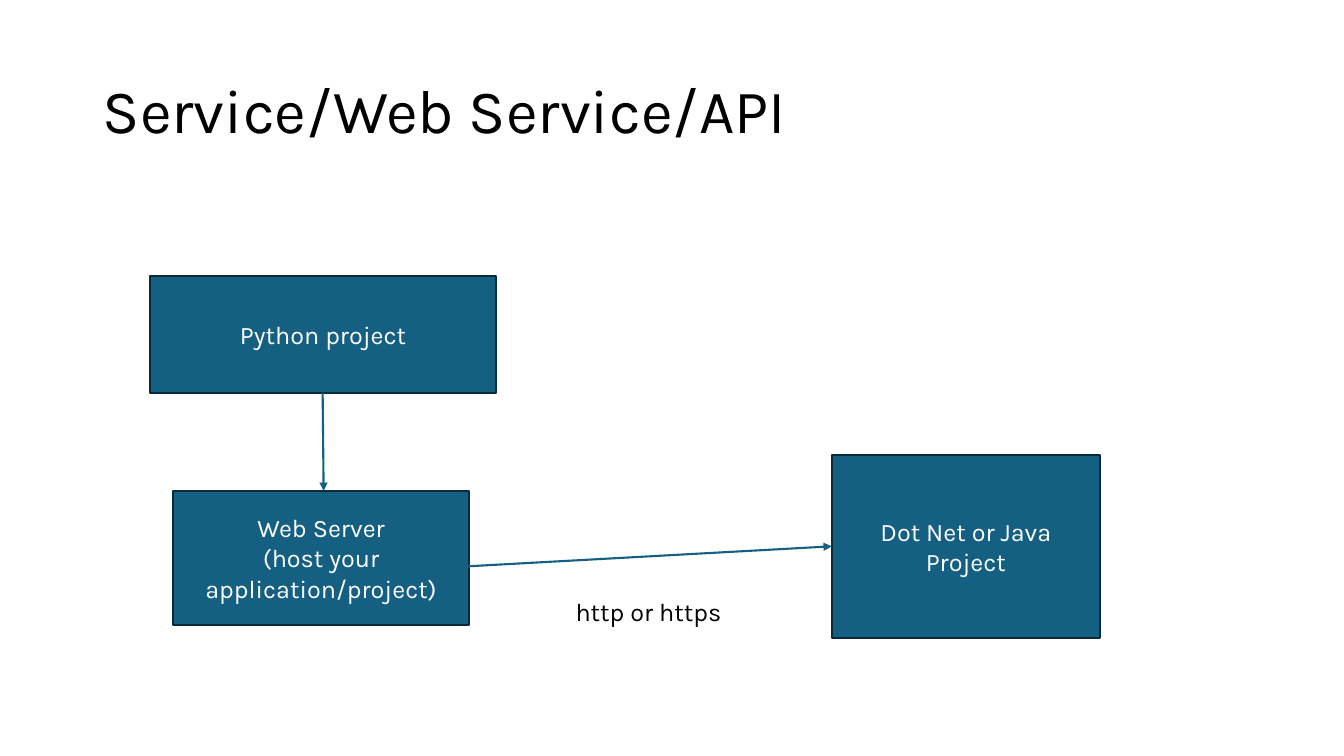
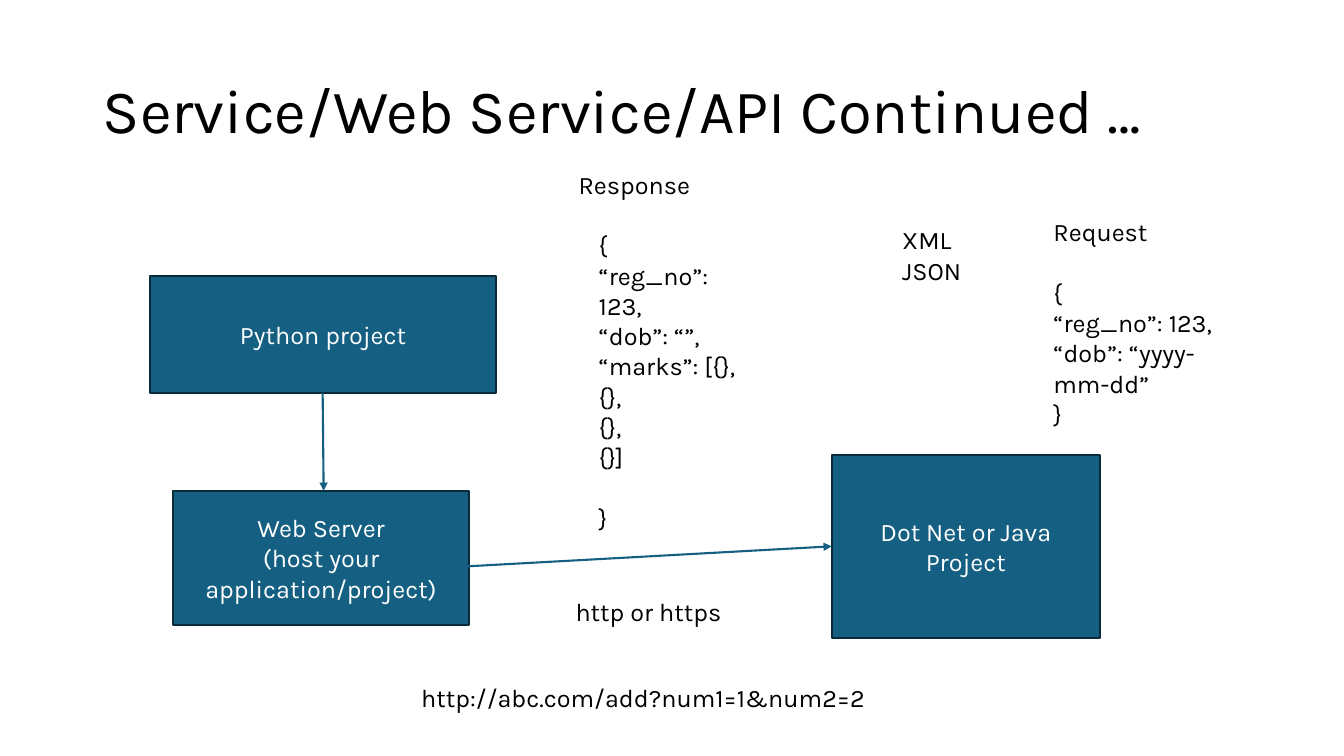
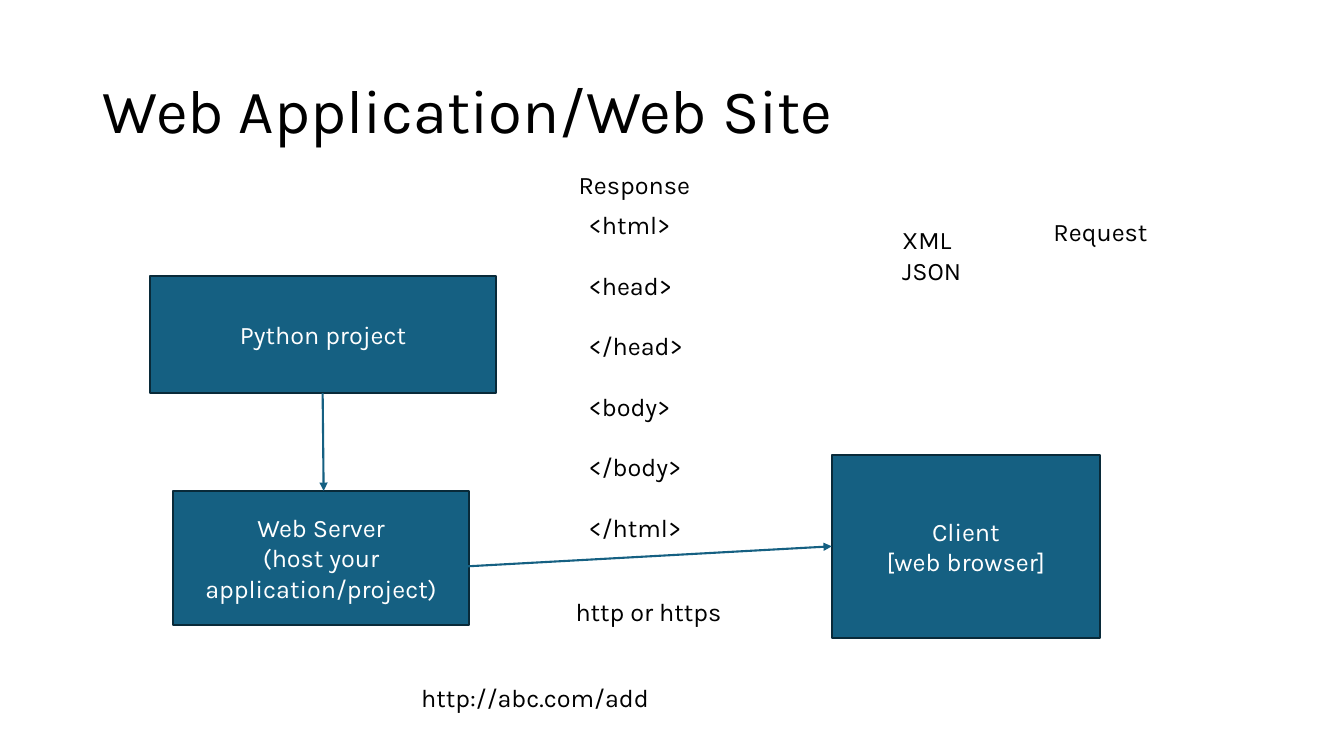
from dataclasses import dataclass

from lxml import etree
from pptx import Presentation
from pptx.dml.color import RGBColor
from pptx.enum.shapes import MSO_CONNECTOR, MSO_SHAPE
from pptx.enum.text import MSO_ANCHOR, MSO_AUTO_SIZE, PP_ALIGN
from pptx.oxml.ns import qn
from pptx.util import Inches, Pt

RECTANGLE = MSO_SHAPE.RECTANGLE
STRAIGHT = MSO_CONNECTOR.STRAIGHT
MIDDLE, TOP = MSO_ANCHOR.MIDDLE, MSO_ANCHOR.TOP
LEFT, CENTER = PP_ALIGN.LEFT, PP_ALIGN.CENTER
GROW = MSO_AUTO_SIZE.SHAPE_TO_FIT_TEXT
NO_FIT = MSO_AUTO_SIZE.NONE


@dataclass(frozen=True)
class Theme:
    font: str = "Karla"
    ink: RGBColor = RGBColor(0x00, 0x00, 0x00)
    paper: RGBColor = RGBColor(0xFF, 0xFF, 0xFF)
    box: RGBColor = RGBColor(0x15, 0x60, 0x82)
    outline: RGBColor = RGBColor(0x09, 0x2A, 0x39)
    title_size: Pt = Pt(44)
    body_size: Pt = Pt(18)
    line_gap: Pt = Pt(21.6)
    line_width: Pt = Pt(1.5)


theme = Theme()

# Places shared by the slides: left, top, width, height
TITLE_PLACE = (0.92, 0.4, 11.5, 1.45)
PROJECT_PLACE = (1.49, 2.74, 3.43, 1.16)
CLIENT_PLACE = (8.25, 4.51, 2.66, 1.82)
SERVER_PLACE = (1.72, 4.87, 2.93, 1.33)
PROTOCOL_PLACE = (5.61, 5.87, 1.76, 0.4)
FORMATS_PLACE = (8.85, 2.18, 2.06, 1.01)
URL_PLACE = (4.08, 6.72, 4.7, 0.42)
RESPONSE_PLACE = (5.64, 1.63, 2.06, 0.4)

# Arrows: start x, start y, end x, end y
ARROWS = [(3.2, 3.9, 3.21, 4.87), (4.61, 5.62, 8.25, 5.42)]

# Content of each slide; an empty line leaves a gap before the next one
FORMATS = (FORMATS_PLACE, ["XML", "JSON"])
RESPONSE = (RESPONSE_PLACE, ["Response"])
SLIDES = [
    ("Service/Web Service/API", ["Dot Net or Java Project"], []),
    ("Service/Web Service/API Continued …", ["Dot Net or Java Project"], [
        FORMATS,
        ((10.35, 2.1, 2.06, 2.22),
         ["Request", "", "{", "“reg_no”: 123,", "“dob”: “yyyy-mm-dd”", "}"]),
        ((5.84, 2.23, 1.57, 3.13),
         ["{", "“reg_no”: 123,", "“dob”: “”,", "“marks”: [{},", "{},", "{},",
          "{}]", "", "}"]),
        (URL_PLACE, ["http://abc.com/add?num1=1&num2=2"]),
        RESPONSE,
    ]),
    ("Web Application/Web Site", ["Client", "[web browser]"], [
        FORMATS,
        ((10.35, 2.1, 2.06, 0.71), ["Request"]),
        ((5.74, 2.03, 1.97, 3.43),
         ["<html>", "", "<head>", "", "</head>", "", "<body>", "", "</body>",
          "", "</html>"]),
        (URL_PLACE, ["http://abc.com/add"]),
        RESPONSE,
    ]),
]


def write_lines(shape, lines, size, color, align, anchor, fit):
    """Fill a shape with one formatted paragraph per line."""
    frame = shape.text_frame
    frame.word_wrap = True
    frame.auto_size = fit
    frame.vertical_anchor = anchor
    paragraph = None
    gap = Pt(0)
    for line in lines:
        if not line:
            gap = theme.line_gap
            continue
        paragraph = frame.add_paragraph() if paragraph else frame.paragraphs[0]
        paragraph.alignment = align
        paragraph.space_before = gap
        gap = Pt(0)
        run = paragraph.add_run()
        run.text = line
        run.font.name = theme.font
        run.font.size = size
        run.font.color.rgb = color


presentation = Presentation()
presentation.slide_width = Inches(13.33)
presentation.slide_height = Inches(7.5)
title_only = presentation.slide_layouts[5]

for title_text, client_lines, notes in SLIDES:
    slide = presentation.slides.add_slide(title_only)

    # Title
    title = slide.shapes.title
    title.left, title.top, title.width, title.height = map(Inches, TITLE_PLACE)
    write_lines(title, [title_text], theme.title_size, theme.ink, LEFT, MIDDLE, NO_FIT)
    title.text_frame.paragraphs[0].line_spacing = 0.9

    # Boxes
    boxes = [
        (PROJECT_PLACE, ["Python project"]),
        (CLIENT_PLACE, client_lines),
        (SERVER_PLACE, ["Web Server", "(host your application/project)"]),
    ]
    for place, lines in boxes:
        box = slide.shapes.add_shape(RECTANGLE, *map(Inches, place))
        box.shadow.inherit = False
        box.fill.solid()
        box.fill.fore_color.rgb = theme.box
        box.line.color.rgb = theme.outline
        box.line.width = theme.line_width
        write_lines(box, lines, theme.body_size, theme.paper, CENTER, MIDDLE, NO_FIT)

    # Arrows
    for ends in ARROWS:
        arrow = slide.shapes.add_connector(STRAIGHT, *map(Inches, ends))
        arrow.line.color.rgb = theme.box
        arrow.line.width = theme.line_width
        properties = arrow._element.spPr
        etree.SubElement(properties.find(qn("a:ln")), qn("a:tailEnd"), type="triangle")
        etree.SubElement(properties, qn("a:effectLst"))

    # Labels and messages
    for place, lines in [(PROTOCOL_PLACE, ["http or https"])] + notes:
        label = slide.shapes.add_textbox(*map(Inches, place))
        write_lines(label, lines, theme.body_size, theme.ink, LEFT, TOP, GROW)

presentation.save("out.pptx")
